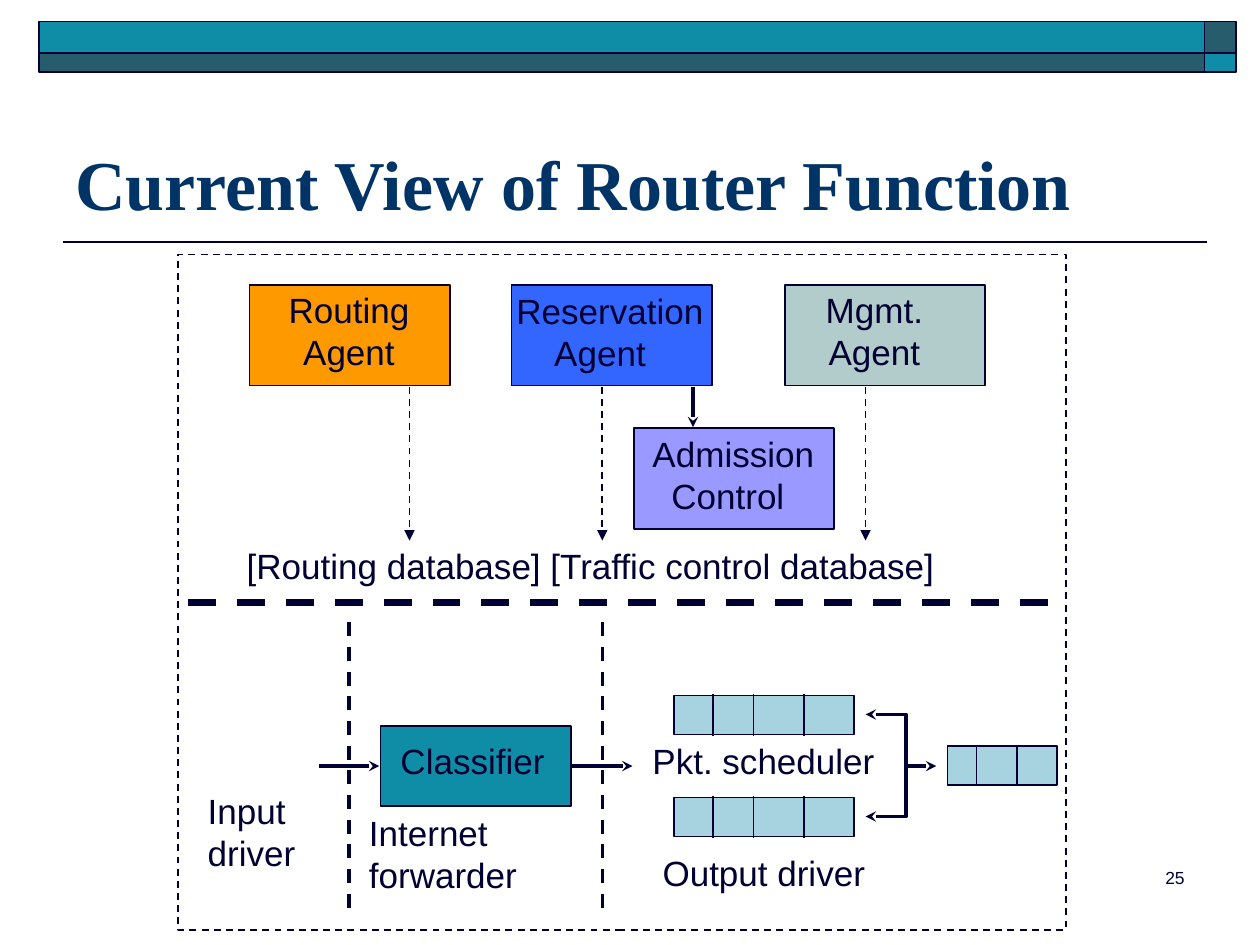
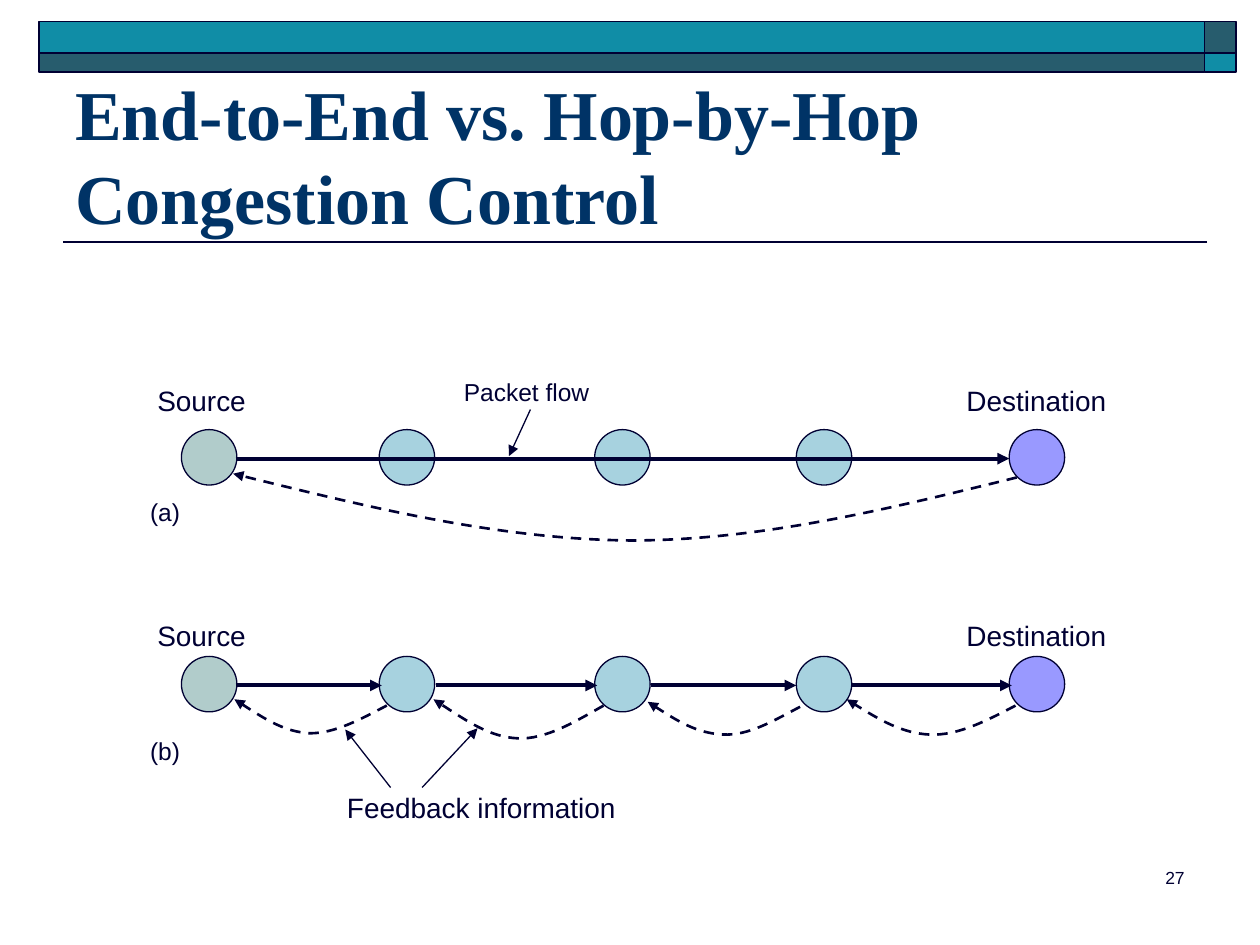
import pptx
import pptx.util
import pptx.dml.color
import pptx.enum.dml
import pptx.enum.shapes
import pptx.enum.text
import pptx.oxml
import pptx.oxml.ns

COLORS = {
    "ink": "000033", "title": "003366", "teal": "108DA6", "slate": "275C6D",
    "orange": "FF9900", "blue": "3366FF", "sage": "B1CCCB",
    "lilac": "9999FF", "sky": "A7D2DF",
}
WIDTH, HEIGHT = 10, 7.5
RECT = pptx.enum.shapes.MSO_SHAPE.RECTANGLE
OVAL = pptx.enum.shapes.MSO_SHAPE.OVAL
LEFT = pptx.enum.text.PP_ALIGN.LEFT
CENTER = pptx.enum.text.PP_ALIGN.CENTER
RIGHT = pptx.enum.text.PP_ALIGN.RIGHT
TOP = pptx.enum.text.MSO_ANCHOR.TOP
MIDDLE = pptx.enum.text.MSO_ANCHOR.MIDDLE
BOTTOM = pptx.enum.text.MSO_ANCHOR.BOTTOM

BAND_COLUMNS = [(0.31, 9.25), (9.56, 0.25)]
BAND_ROWS = [(0.17, 0.25, ["teal", "slate"]), (0.42, 0.15, ["slate", "teal"])]

ROUTER = {"title": "Current View of Router Function", "title_top": 0.58, "number": "25"}
BOX_SIZE = (1.59, 0.8)
BOXES = [
    (1.98, 2.26, "orange"),
    (4.06, 2.26, "blue"),
    (6.23, 2.26, "sage"),
    (5.03, 3.4, "lilac"),
]
BOX_LABELS = [
    (2.19, 2.24, 1.16, ["Routing", "Agent"], CENTER, 0),
    (4, 2.25, 1.69, ["Reservation", "Agent"], LEFT, 0.3),
    (6.45, 2.24, 0.98, ["Mgmt.", "Agent"], CENTER, 0),
    (5.08, 3.38, 1.49, ["Admission", "Control"], LEFT, 0.15),
]
PATH_LABELS = [
    (3.08, 5.82, 1.35, ["Classifier"]),
    (1.55, 6.22, 0.9, ["Input", "driver"]),
    (2.83, 6.39, 1.38, ["Internet", "forwarder"]),
    (5.08, 5.82, 1.97, ["Pkt. scheduler"]),
    (5.16, 6.71, 1.81, ["Output driver"]),
    (1.86, 4.27, 5.68, ["[Routing database] [Traffic control database]"]),
]
QUEUE_HEIGHT = 0.31
QUEUES = [
    (5.35, 5.52, 1.43, [0.31, 0.63, 1.03]),
    (5.35, 6.33, 1.43, [0.31, 0.63, 1.03]),
    (7.52, 5.92, 0.87, [0.23, 0.55]),
]
DATABASE_ARROWS = [3.25, 4.78, 6.87]
STAGE_DIVIDERS = [2.77, 4.78]
PACKET_Y = 6.08
PACKET_ARROWS = [(2.53, 3.01), (4.54, 5.02), (7.19, 7.43)]
SCHEDULER_FORK = [(6.87, 5.67), (7.19, 5.67), (7.19, 6.48), (6.87, 6.48)]

CONGESTION = {"title": "End-to-End vs. Hop-by-Hop Congestion Control",
              "title_top": 0.69, "number": "27"}
NODE_SIZE = 0.44
NODES = [(1.44, "sage"), (3.01, "sky"), (4.72, "sky"), (6.32, "sky"), (8.01, "lilac")]
SCHEMES = [
    {"mark": "(a)", "mark_top": 3.89, "node_top": 3.41, "label_top": 2.99,
     "flows": [(1.87, 8.01)],
     "feedback": [[(8.07, 3.79), (7.05, 4.04), (6.04, 4.29), (5, 4.29),
                   (3.96, 4.28), (2.9, 4.02), (1.85, 3.76)]]},
    {"mark": "(b)", "mark_top": 5.79, "node_top": 5.21, "label_top": 4.86,
     "flows": [(1.87, 3.03), (3.46, 4.74), (5.17, 6.32), (6.76, 8.03)],
     "feedback": [
         [(3.07, 5.6), (2.86, 5.71), (2.66, 5.82), (2.46, 5.82),
          (2.26, 5.81), (2.06, 5.68), (1.86, 5.55)],
         [(4.79, 5.6), (4.56, 5.73), (4.33, 5.87), (4.11, 5.86),
          (3.89, 5.85), (3.67, 5.7), (3.44, 5.55)],
         [(6.35, 5.61), (6.14, 5.72), (5.94, 5.84), (5.74, 5.83),
          (5.53, 5.82), (5.34, 5.7), (5.14, 5.57)],
         [(8.06, 5.6), (7.83, 5.72), (7.6, 5.84), (7.38, 5.83),
          (7.16, 5.82), (6.94, 5.69), (6.72, 5.55)],
     ]},
]
END_LABELS = [("Source", 1.15, 0.9), ("Destination", 7.57, 1.31)]
CALLOUTS = [
    ("Packet flow", (3.48, 2.94, 1.4, 0.34), 14, [((4.21, 3.25), (4.04, 3.62))]),
    ("Feedback information", (2.62, 6.22, 2.4, 0.37), 16,
     [((3.1, 6.25), (2.74, 5.79)), ((3.35, 6.25), (3.79, 5.78))]),
]


def inches(values):
    return [pptx.util.Inches(value) for value in values]


def rgb(color):
    return pptx.dml.color.RGBColor.from_string(COLORS[color])


def make_element(tag, attributes=""):
    return pptx.oxml.parse_xml(f'<{tag} {pptx.oxml.ns.nsdecls("a")} {attributes}/>')


def style_line(line, width, dashed=False, head=None, tail=None):
    line.color.rgb = rgb("ink")
    line.width = pptx.util.Pt(width)
    if dashed:
        line.dash_style = pptx.enum.dml.MSO_LINE.DASH
    for tag, arrow in (("a:headEnd", head), ("a:tailEnd", tail)):
        if arrow:
            line._get_or_add_ln().append(make_element(tag, f'type="{arrow}"'))


def add_block(slide, box, fill=None, kind=RECT, width=1, dashed=False):
    block = slide.shapes.add_shape(kind, *inches(box))
    block.shadow.inherit = False
    if fill:
        block.fill.solid()
        block.fill.fore_color.rgb = rgb(fill)
    else:
        block.fill.background()
    style_line(block.line, width, dashed)


def add_line(slide, start, stop, width=1, dashed=False, tail=None):
    line = slide.shapes.add_connector(
        pptx.enum.shapes.MSO_CONNECTOR.STRAIGHT, *inches(start + stop))
    style_line(line.line, width, dashed, tail=tail)
    line._element.spPr.append(make_element("a:effectLst"))


def add_route(slide, points, width, dashed=False, head=None, tail=None, curved=False):
    first, *rest = [inches(point) for point in points]
    builder = slide.shapes.build_freeform(*first)
    builder.add_line_segments(rest, close=False)
    route = builder.convert_to_shape()
    route.shadow.inherit = False
    route.fill.background()
    style_line(route.line, width, dashed, head, tail)
    if curved:
        segments = route._element.findall(".//" + pptx.oxml.ns.qn("a:lnTo"))
        for i in range(0, len(segments), 3):
            curve = make_element("a:cubicBezTo")
            segments[i].addprevious(curve)
            for segment in segments[i:i + 3]:
                curve.append(segment[0])
                segment.getparent().remove(segment)


def add_text(slide, box, lines, size, align=LEFT, anchor=TOP, wrap=False,
             font="Arial", color="ink", bold=False, last_indent=0):
    frame = slide.shapes.add_textbox(*inches(box)).text_frame
    frame.word_wrap = wrap
    frame.vertical_anchor = anchor
    for i, line in enumerate(lines):
        paragraph = frame.add_paragraph() if i else frame.paragraphs[0]
        paragraph.alignment = align
        if i and last_indent:
            paragraph._p.get_or_add_pPr().set(
                "marL", str(pptx.util.Inches(last_indent)))
        run = paragraph.add_run()
        run.text = line
        run.font.size = pptx.util.Pt(size)
        run.font.name = font
        run.font.bold = bold
        run.font.color.rgb = rgb(color)


def start_slide(deck, content):
    slide = deck.slides.add_slide(deck.slide_layouts[6])
    add_line(slide, (9.58, 1.92), (0.5, 1.92))
    for top, height, fills in BAND_ROWS:
        for (left, width), fill in zip(BAND_COLUMNS, fills):
            add_block(slide, (left, top, width, height), fill)
    add_text(slide, (0.5, content["title_top"], 9, 1.25), [content["title"]], 40,
             anchor=BOTTOM, wrap=True, font="Times New Roman", color="title", bold=True)
    add_text(slide, (7.42, 6.83, 2.08, 0.5), [content["number"]], 10, RIGHT, wrap=True)
    return slide


def build_router(deck):
    slide = start_slide(deck, ROUTER)
    add_block(slide, (1.41, 2.02, 7.05, 5.36), dashed=True)
    add_line(slide, (1.49, 4.78), (8.39, 4.78), 4, True)
    for x in STAGE_DIVIDERS:
        add_line(slide, (x, 4.94), (x, 7.22), 2, True)
    for start, stop in PACKET_ARROWS:
        add_line(slide, (start, PACKET_Y), (stop, PACKET_Y), 2, tail="stealth")
    add_block(slide, (3.02, 5.76, 1.51, 0.64), "teal")
    for left, top, width, dividers in QUEUES:
        add_block(slide, (left, top, width, QUEUE_HEIGHT), "sky")
        for offset in dividers:
            x = left + offset
            add_line(slide, (x, top - 0.01), (x, top + QUEUE_HEIGHT + 0.01))
    add_route(slide, SCHEDULER_FORK, 2, head="stealth", tail="stealth")
    for left, top, fill in BOXES:
        add_block(slide, (left, top, *BOX_SIZE), fill)
    for left, top, width, lines, align, indent in BOX_LABELS:
        add_text(slide, (left, top, width, 0.77), lines, 20, align, last_indent=indent)
    for left, top, width, lines in PATH_LABELS:
        add_text(slide, (left, top, width, 0.1 + 0.33 * len(lines)), lines, 20)
    add_line(slide, (5.5, 3.07), (5.5, 3.39), 2, tail="stealth")
    for x in DATABASE_ARROWS:
        add_line(slide, (x, 3.07), (x, 4.29), 1, True, "triangle")


def build_congestion(deck):
    slide = start_slide(deck, CONGESTION)
    for scheme in SCHEMES:
        for left, fill in NODES:
            add_block(slide, (left, scheme["node_top"], NODE_SIZE, NODE_SIZE),
                      fill, OVAL, 0.75)
        flow_y = scheme["node_top"] + 0.23
        for start, stop in scheme["flows"]:
            add_line(slide, (start, flow_y), (stop, flow_y), 2.25, tail="triangle")
        for points in scheme["feedback"]:
            add_route(slide, points, 1.5, True, tail="triangle", curved=True)
        for label, left, width in END_LABELS:
            add_text(slide, (left, scheme["label_top"], width, 0.37), [label], 16,
                     CENTER, MIDDLE)
        add_text(slide, (1.09, scheme["mark_top"], 0.44, 0.34), [scheme["mark"]], 14,
                 CENTER, MIDDLE)
    for label, box, size, pointers in CALLOUTS:
        add_text(slide, box, [label], size, CENTER, MIDDLE)
        for start, stop in pointers:
            add_line(slide, start, stop, 0.75, tail="triangle")


def main():
    deck = pptx.Presentation()
    deck.slide_width, deck.slide_height = inches((WIDTH, HEIGHT))
    build_router(deck)
    build_congestion(deck)
    deck.save("out.pptx")


if __name__ == "__main__":
    main()
